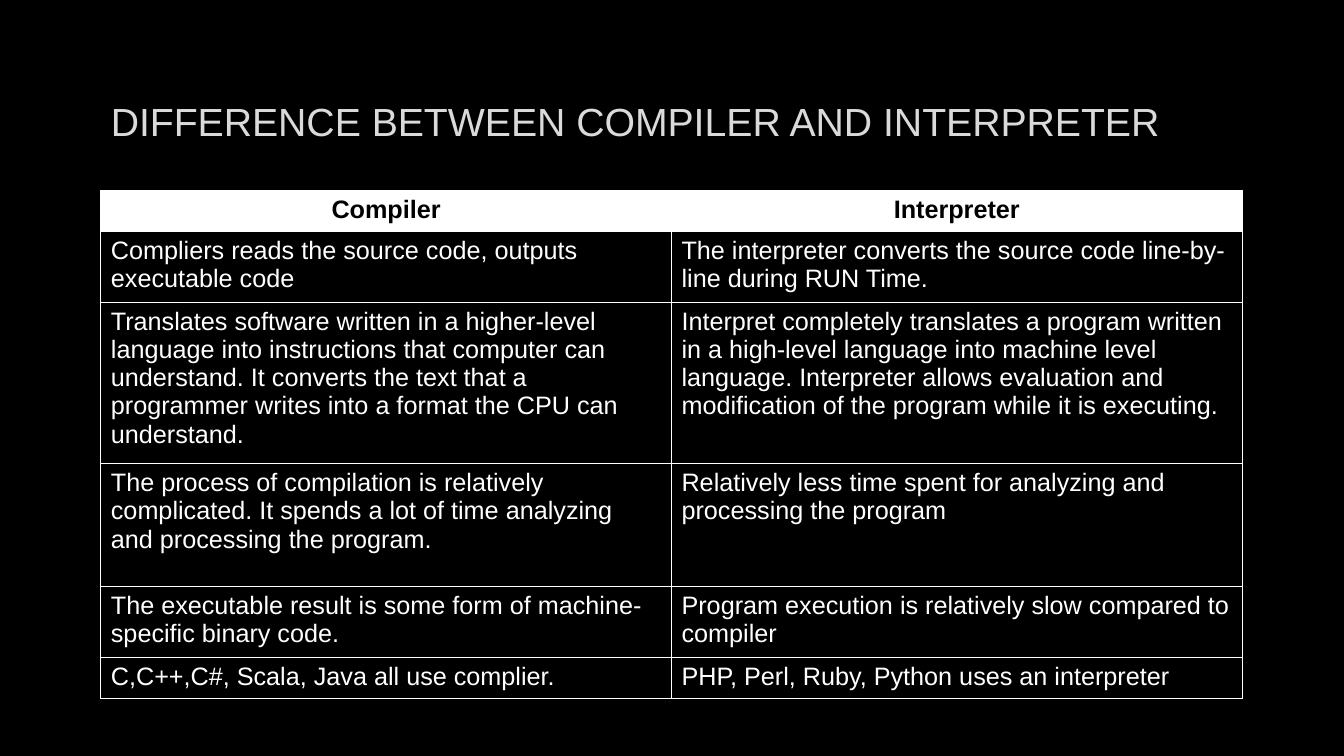
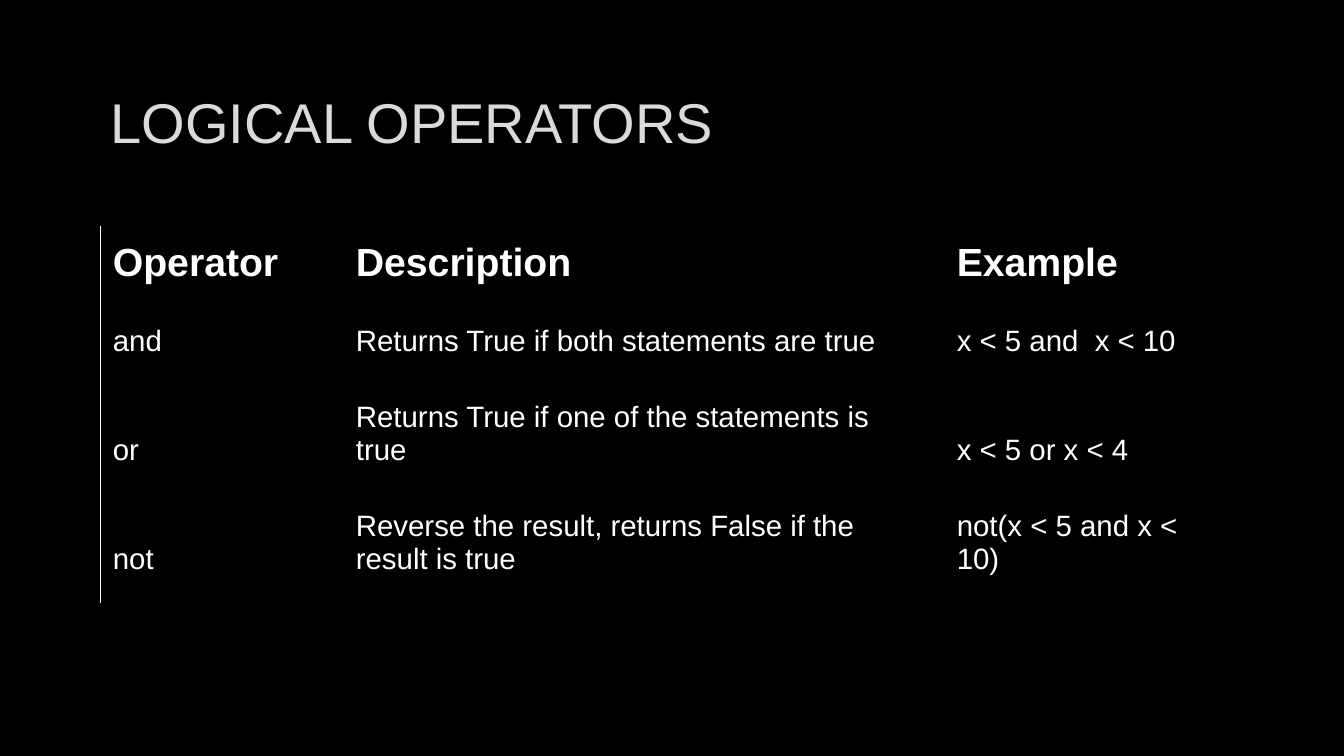
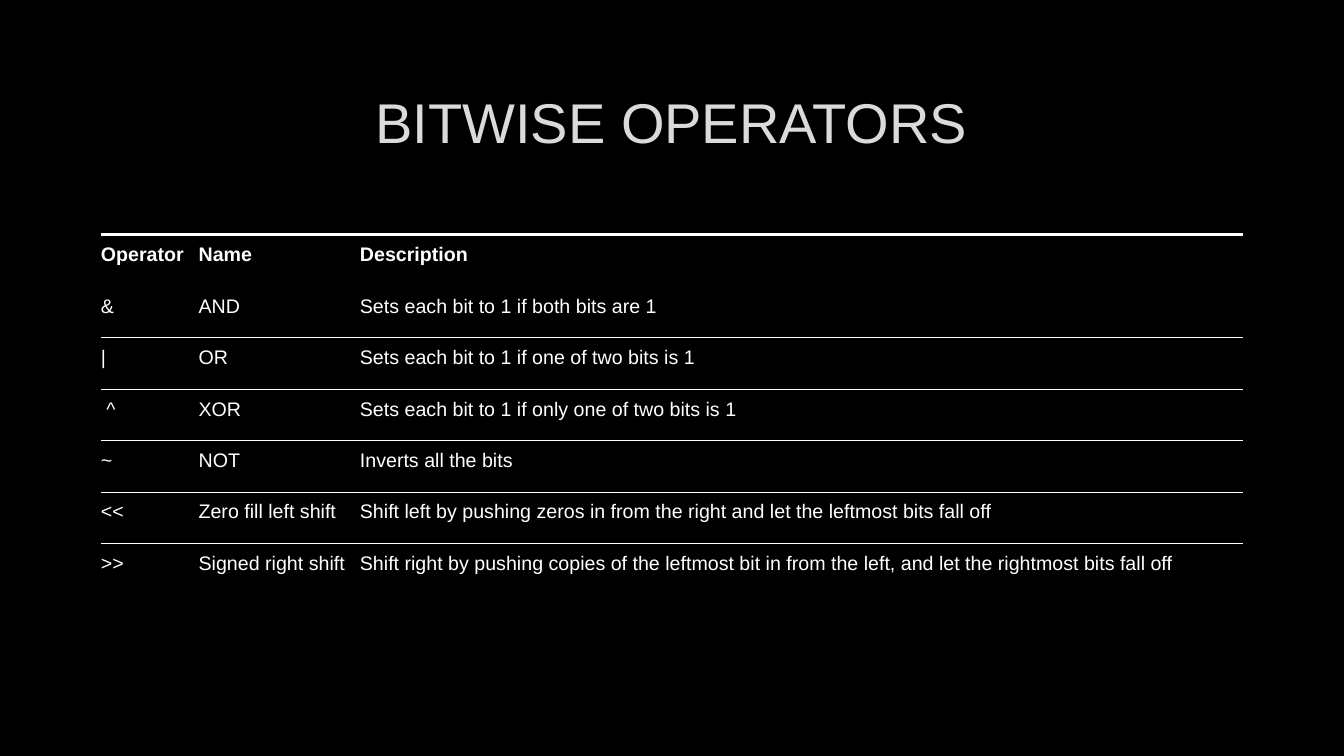
from lxml.etree import SubElement
from pptx import Presentation
from pptx.dml.color import RGBColor
from pptx.enum.text import MSO_ANCHOR as Anchor, PP_ALIGN as Align
from pptx.oxml.ns import qn
from pptx.util import Inches, Pt

FONT, BLACK, WHITE, TITLE_GREY = "Arial", "000000", "FFFFFF", "DADADA"
TITLE_BOX = (1, 0.67, 11.32, 1.06)
NO_STYLE_NO_GRID = "{2D5ABB26-0587-4C30-8999-92F81FD0307C}"
CELL_INSETS = (0.1, 0.05, 0.1, 0.05)

COMPARISON = [
    ("Compiler", "Interpreter"),
    ("Compliers reads the source code, outputs executable code",
     "The interpreter converts the source code line-by-line during RUN Time."),
    ("Translates software written in a higher-level language into instructions that "
     "computer can understand. It converts the text that a programmer writes into a "
     "format the CPU can understand.",
     "Interpret completely translates a program written in a high-level language into "
     "machine level language. Interpreter allows evaluation and modification of the "
     "program while it is executing."),
    ("The process of compilation is relatively complicated. It spends a lot of time "
     "analyzing and processing the program.",
     "Relatively less time spent for analyzing and processing the program"),
    ("The executable result is some form of machine-specific binary code.",
     "Program execution is relatively slow compared to compiler"),
    ("C,C++,C#, Scala, Java all use complier.",
     "PHP, Perl, Ruby, Python uses an interpreter"),
]
LOGICAL = [
    ("Operator", "Description", "Example"),
    ("and", "Returns True if both statements are true", "x < 5 and  x < 10"),
    ("or", "Returns True if one of the statements is true", "x < 5 or x < 4"),
    ("not", "Reverse the result, returns False if the result is true",
     "not(x < 5 and x < 10)"),
]
BITWISE = [
    ("Operator", "Name", "Description"),
    ("&", "AND", "Sets each bit to 1 if both bits are 1"),
    ("|", "OR", "Sets each bit to 1 if one of two bits is 1"),
    (" ^", "XOR", "Sets each bit to 1 if only one of two bits is 1"),
    ("~", "NOT", "Inverts all the bits"),
    ("<<", "Zero fill left shift",
     "Shift left by pushing zeros in from the right and let the leftmost bits fall off"),
    (">>", "Signed right shift",
     "Shift right by pushing copies of the leftmost bit in from the left, "
     "and let the rightmost bits fall off"),
]


def paint(target, colour):
    """Give a fill a solid hex colour."""
    target.solid()
    target.fore_color.rgb = RGBColor.from_string(colour)


def write(frame, text, size, colour, bold=False, align=Align.LEFT):
    """Write one styled run into a text frame."""
    frame.word_wrap = True
    para = frame.paragraphs[0]
    para.alignment = align
    span = para.add_run()
    span.text = text
    span.font.name, span.font.size, span.font.bold = FONT, Pt(size), bold
    paint(span.font.fill, colour)


def add_page(deck, title, size=40, align=Align.LEFT):
    """Add a black page with its title."""
    page = deck.slides.add_slide(deck.slide_layouts[6])
    paint(page.background.fill, BLACK)
    box = page.shapes.add_textbox(*map(Inches, TITLE_BOX))
    box.text_frame.vertical_anchor = Anchor.MIDDLE
    write(box.text_frame, title, size, TITLE_GREY, align=align)
    return page


def set_borders(cell, widths):
    """Draw white cell borders from a mapping of side to width in points."""
    properties = cell._tc.get_or_add_tcPr()
    for side in "LRTB":
        if side in widths:
            line = SubElement(properties, qn(f"a:ln{side}"), w=str(Pt(widths[side])))
            fill = SubElement(line, qn("a:solidFill"))
            SubElement(fill, qn("a:srgbClr"), val=WHITE)


def add_grid(page, rows, left, top, widths, heights, sizes, borders,
             insets=CELL_INSETS, anchor=Anchor.TOP, light_header=False):
    """Add a table whose border rule maps row and column to side widths."""
    extent = (left, top, sum(widths), sum(heights))
    table = page.shapes.add_table(
        len(rows), len(widths), *map(Inches, extent)).table
    table.first_row = table.horz_banding = False
    table._tbl.tblPr.find(qn("a:tableStyleId")).text = NO_STYLE_NO_GRID
    for column, width in zip(table.columns, widths):
        column.width = Inches(width)
    for row, height in zip(table.rows, heights):
        row.height = Inches(height)
    for r, texts in enumerate(rows):
        header = r == 0
        inverted = header and light_header
        for c, text in enumerate(texts):
            cell = table.cell(r, c)
            (cell.margin_left, cell.margin_top,
             cell.margin_right, cell.margin_bottom) = map(Inches, insets)
            cell.vertical_anchor = anchor
            set_borders(cell, borders(r, c))
            paint(cell.fill, WHITE if inverted else BLACK)
            write(cell.text_frame, text, sizes[0] if header else sizes[1],
                  BLACK if inverted else WHITE, header,
                  Align.CENTER if inverted else Align.LEFT)


def comparison_page(deck):
    """Build the compiler and interpreter page."""
    page = add_page(deck, "DIFFERENCE BETWEEN COMPILER AND INTERPRETER", 28)
    add_grid(page, COMPARISON, 1, 1.89, [5.66] * 2,
             [0.41, 0.66, 1.5, 1.22, 0.66, 0.41], (18, 18),
             lambda r, c: dict.fromkeys("LRTB", 1), light_header=True)


def logical_page(deck):
    """Build the logical operators page."""
    page = add_page(deck, "LOGICAL OPERATORS")
    add_grid(page, LOGICAL, 1, 2.24, [2.41, 5.96, 2.95], [0.85, 0.73, 1.08, 1.08],
             (28, 21), lambda r, c: {"L": 0.75} if c == 0 else {},
             (0.12, 0.04, 0.39, 0.27), Anchor.BOTTOM)


def bitwise_borders(row, column):
    """Rule the header's top and the top of every second row."""
    if row == 0:
        return {"T": 2.25}
    return {"T": 0.5} if row % 2 == 0 else {}


def bitwise_page(deck):
    """Build the bitwise operators page."""
    page = add_page(deck, "BITWISE OPERATORS", align=Align.CENTER)
    add_grid(page, BITWISE, 1, 2.33, [0.97, 1.6, 8.76], [0.51] * len(BITWISE),
             (14, 14), bitwise_borders, (0, 0.03, 0.07, 0.2), Anchor.BOTTOM)


def main():
    """Build and save the deck."""
    deck = Presentation()
    deck.slide_width, deck.slide_height = Inches(13.33), Inches(7.5)
    for build in (comparison_page, logical_page, bitwise_page):
        build(deck)
    deck.save("out.pptx")


if __name__ == "__main__":
    main()
